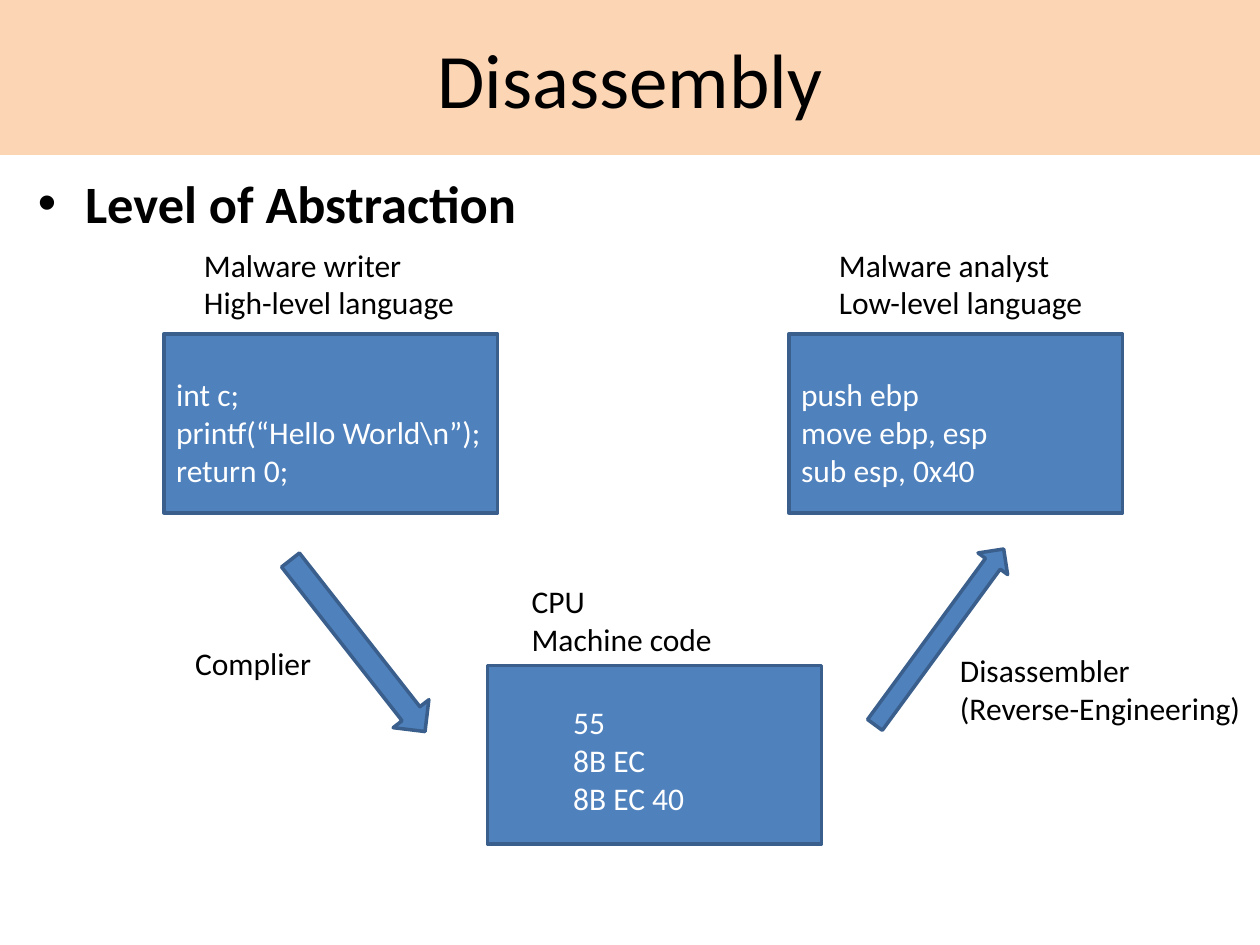
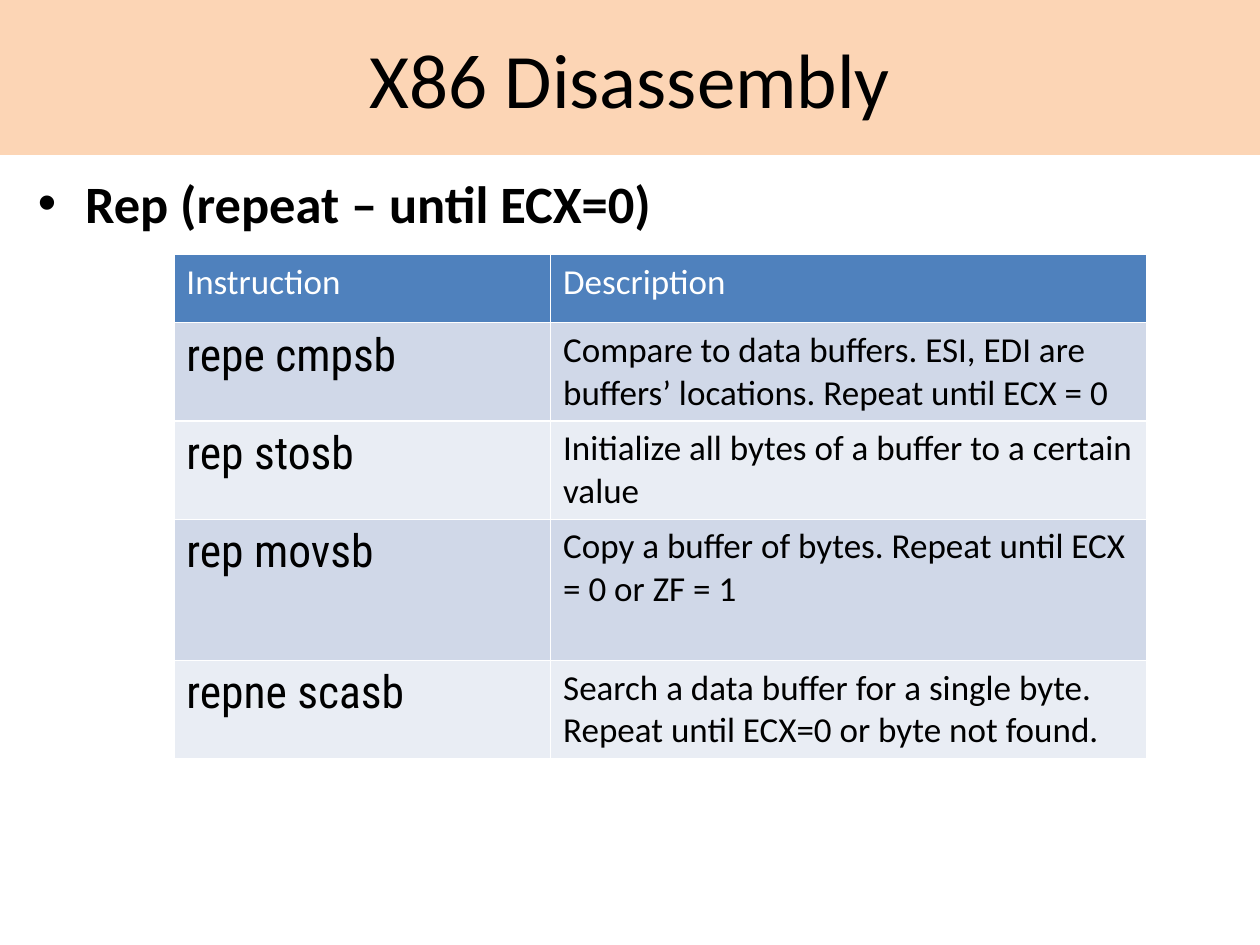
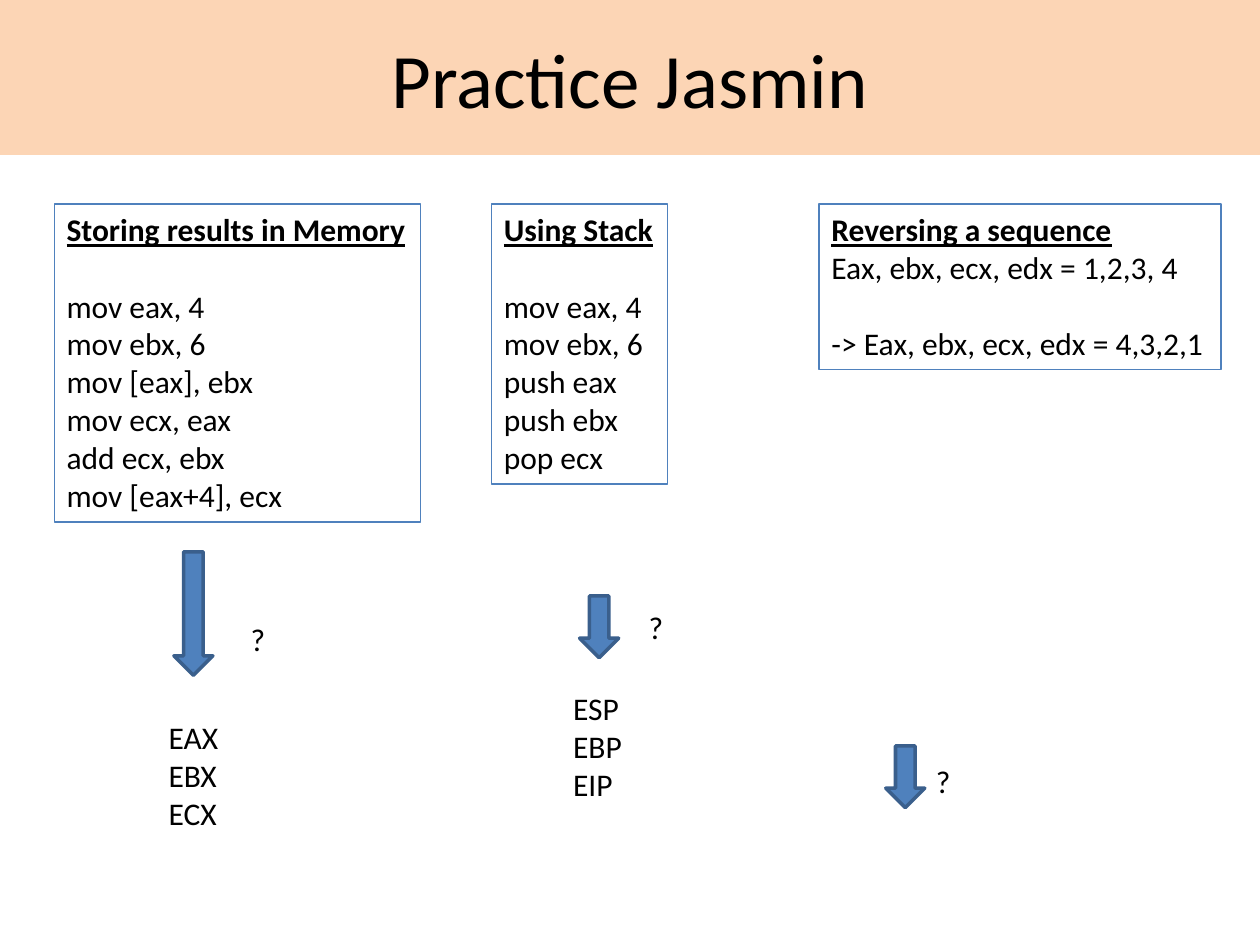
"""Build three lecture slides on disassembly."""
from dataclasses import dataclass

from pptx import Presentation
from pptx.dml.color import RGBColor
from pptx.enum.shapes import MSO_SHAPE
from pptx.enum.text import MSO_ANCHOR, MSO_AUTO_SIZE, PP_ALIGN
from pptx.util import Inches, Pt

RECTANGLE = MSO_SHAPE.RECTANGLE
DOWN_ARROW = MSO_SHAPE.DOWN_ARROW
MIDDLE = MSO_ANCHOR.MIDDLE
NO_AUTOFIT = MSO_AUTO_SIZE.NONE
LEFT, CENTER = PP_ALIGN.LEFT, PP_ALIGN.CENTER

BLACK = RGBColor(0x00, 0x00, 0x00)
WHITE = RGBColor(0xFF, 0xFF, 0xFF)
PEACH = RGBColor(0xFC, 0xD5, 0xB5)
BLUE = RGBColor(0x4F, 0x81, 0xBD)
DARK_BLUE = RGBColor(0x3A, 0x5F, 0x8C)
ROW_TINTS = (RGBColor(0xE9, 0xED, 0xF4), RGBColor(0xD0, 0xD8, 0xE8))

BODY_FONT = "Calibri"
CODE_FONT = "Roboto Condensed"
TITLE_SIZE, TOPIC_SIZE, TEXT_SIZE = 44, 30, 18
HEADER_SIZE, MNEMONIC_SIZE = 20, 26

GRID_COLUMNS, GRID_ROWS = 100, 75
CELL = Inches(0.1)
LINE_ROWS = 3.03
LINE_GAP = Pt(22)
CODE_BOX_COLUMNS, CODE_BOX_ROWS = 26.5, 14.2


@dataclass(frozen=True)
class Place:
    """A rectangle in grid columns and rows."""
    left: float
    top: float
    width: float
    height: float

    def lengths(self) -> list[int]:
        """Return left, top, width and height as slide lengths."""
        return [round(part * CELL) for part in (self.left, self.top, self.width, self.height)]


@dataclass(frozen=True)
class Note:
    """Lines of text, optionally framed with a heading and a blank gap."""
    left: float
    top: float
    width: float
    lines: tuple[str, ...]
    color: RGBColor = BLACK
    framed: bool = False
    gap_before: int = 0

    def place(self) -> Place:
        """Work out the height from the number of lines."""
        count = len(self.lines) + (1 if self.gap_before else 0)
        return Place(self.left, self.top, self.width, 1 + LINE_ROWS * count)


@dataclass(frozen=True)
class Arrow:
    """A block arrow with its rotation in degrees."""
    place: Place
    rotation: float = 0


TITLE_BAND = Place(0, 0, GRID_COLUMNS, 12.3)
TOPIC_AREA = Place(2, 13.1, 96.1, 55.9)

CODE_BOXES = [Place(left, top, CODE_BOX_COLUMNS, CODE_BOX_ROWS)
              for left, top in ((62.6, 26.5), (13, 26.5), (38.7, 52.8))]
ABSTRACTION_NOTES = (
    Note(62.6, 29.3, 17.4, ("push ebp", "move ebp, esp", "sub esp, 0x40"), WHITE),
    Note(13, 29.3, 26.5, ("int c;", r"printf(“Hello World\n”);", "return 0;"), WHITE),
    Note(44.5, 55.3, 10.9, ("55", "8B EC", "8B EC 40"), WHITE),
    Note(15.2, 19, 22.1, ("Malware writer", "High-level language")),
    Note(65.6, 19, 21.6, ("Malware analyst", "Low-level language")),
    Note(41.2, 45.7, 16.5, ("CPU", "Machine code")),
    Note(14.5, 50.6, 11.3, ("Complier",)),
    Note(75.2, 51.2, 24.5, ("Disassembler", "(Reverse-Engineering)")),
)
ABSTRACTION_ARROWS = (
    Arrow(Place(26.6, 42.6, 3.6, 17.3), 321.9),
    Arrow(Place(73.1, 41.9, 2.9, 17.3), 216.2),
)

REP_TABLE = Place(13.8, 20.2, 77.2, 40)
REP_COLUMNS = (29.9, 47.3)
REP_ROWS = (5.4, 7.8, 7.8, 11.2, 7.8)
REP_INSTRUCTIONS = (
    ("Instruction", "Description"),
    ("repe cmpsb", "Compare to data buffers. ESI, EDI are buffers’ locations. Repeat until ECX = 0"),
    ("rep stosb", "Initialize all bytes of a buffer to a certain value"),
    ("rep movsb", "Copy a buffer of bytes. Repeat until ECX = 0 or ZF = 1"),
    ("repne scasb", "Search a data buffer for a single byte. Repeat until ECX=0 or byte not found."),
)

EXERCISE_TOP = 16.2
PRACTICE_NOTES = (
    Note(4.3, EXERCISE_TOP, 29.1,
         ("Storing results in Memory", "mov eax, 4", "mov ebx, 6", "mov [eax], ebx",
          "mov ecx, eax", "add ecx, ebx", "mov [eax+4], ecx"), framed=True, gap_before=1),
    Note(39, EXERCISE_TOP, 14,
         ("Using Stack", "mov eax, 4", "mov ebx, 6", "push eax", "push ebx", "pop ecx"),
         framed=True, gap_before=1),
    Note(65, EXERCISE_TOP, 31.9,
         ("Reversing a sequence", "Eax, ebx, ecx, edx = 1,2,3, 4",
          "-> Eax, ebx, ecx, edx = 4,3,2,1"), framed=True, gap_before=2),
    Note(12.4, 56.5, 6, ("EAX", "EBX", "ECX")),
    Note(44.5, 54.2, 6, ("ESP", "EBP", "EIP")),
    *(Note(left, top, 3.2, ("?",)) for left, top in ((18.9, 48.7), (50.5, 47.8), (73.3, 60))),
)
PRACTICE_ARROWS = [Arrow(Place(left, top, 3.1, height)) for left, top, height in
                   ((13.8, 43.8, 9.8), (70.3, 59.2, 4.9), (46, 47.3, 4.9))]


def add_run(paragraph, text: str, size: float, color: RGBColor = BLACK,
            font: str = BODY_FONT, bold: bool = False, underline: bool = False) -> None:
    """Add one formatted run to a paragraph."""
    run = paragraph.add_run()
    run.text = text
    run.font.name, run.font.size = font, Pt(size)
    run.font.bold, run.font.underline = bold, underline
    run.font.color.rgb = color


def move(shape, place: Place) -> None:
    """Put a shape at a grid place."""
    shape.left, shape.top, shape.width, shape.height = place.lengths()


def add_slide(deck, title: str, topic: str = ""):
    """Add a slide with the title band and an optional bulleted topic."""
    slide = deck.slides.add_slide(deck.slide_layouts.get_by_name(
        "Title and Content" if topic else "Title Only"))
    band = slide.shapes.title
    move(band, TITLE_BAND)
    band.fill.solid()
    band.fill.fore_color.rgb = PEACH
    band.text_frame.vertical_anchor = MIDDLE
    heading = band.text_frame.paragraphs[0]
    heading.alignment = CENTER
    add_run(heading, title, TITLE_SIZE)
    if topic:
        body = slide.placeholders[1]
        move(body, TOPIC_AREA)
        add_run(body.text_frame.paragraphs[0], topic, TOPIC_SIZE, bold=True)
    return slide


def add_block(slide, kind: MSO_SHAPE, place: Place, rotation: float = 0) -> None:
    """Draw a blue outlined shape."""
    block = slide.shapes.add_shape(kind, *place.lengths())
    block.shadow.inherit = False
    block.rotation = rotation
    block.fill.solid()
    block.fill.fore_color.rgb = BLUE
    block.line.color.rgb = DARK_BLUE
    block.line.width = Pt(2)


def add_note(slide, note: Note) -> None:
    """Write a note, framing it and marking its heading where asked."""
    box = slide.shapes.add_textbox(*note.place().lengths())
    if note.framed:
        box.line.color.rgb = BLUE
        box.line.width = Pt(0.75)
    frame = box.text_frame
    frame.word_wrap = False
    frame.auto_size = NO_AUTOFIT
    for index, line in enumerate(note.lines):
        paragraph = frame.add_paragraph() if index else frame.paragraphs[0]
        paragraph.alignment = LEFT
        if index and index == note.gap_before:
            paragraph.space_before = LINE_GAP
        is_heading = note.framed and index == 0
        add_run(paragraph, line, TEXT_SIZE, note.color, bold=is_heading, underline=is_heading)


def add_diagram(slide, notes, arrows) -> None:
    """Draw arrows and notes on a slide."""
    for arrow in arrows:
        add_block(slide, DOWN_ARROW, arrow.place, arrow.rotation)
    for note in notes:
        add_note(slide, note)


def add_instruction_table(slide) -> None:
    """Add the table of repeat instructions."""
    table = slide.shapes.add_table(
        len(REP_ROWS), len(REP_COLUMNS), *REP_TABLE.lengths()).table
    for column, width in zip(table.columns, REP_COLUMNS):
        column.width = round(width * CELL)
    for row_index, (row, height) in enumerate(zip(table.rows, REP_ROWS)):
        row.height = round(height * CELL)
        is_header = row_index == 0
        for column_index, cell in enumerate(row.cells):
            cell.fill.solid()
            cell.fill.fore_color.rgb = BLUE if is_header else ROW_TINTS[row_index % 2]
            is_mnemonic = column_index == 0 and not is_header
            add_run(cell.text_frame.paragraphs[0], REP_INSTRUCTIONS[row_index][column_index],
                    MNEMONIC_SIZE if is_mnemonic else HEADER_SIZE,
                    WHITE if is_header else BLACK,
                    CODE_FONT if is_mnemonic else BODY_FONT)


def main() -> None:
    """Build and save the deck."""
    deck = Presentation()
    deck.slide_width, deck.slide_height = GRID_COLUMNS * CELL, GRID_ROWS * CELL

    abstraction = add_slide(deck, "Disassembly", "Level of Abstraction")
    for code_box in CODE_BOXES:
        add_block(abstraction, RECTANGLE, code_box)
    add_diagram(abstraction, ABSTRACTION_NOTES, ABSTRACTION_ARROWS)

    repetition = add_slide(deck, "X86 Disassembly", "Rep (repeat – until ECX=0)")
    add_instruction_table(repetition)

    practice = add_slide(deck, "Practice Jasmin")
    add_diagram(practice, PRACTICE_NOTES, PRACTICE_ARROWS)

    deck.save("out.pptx")


if __name__ == "__main__":
    main()
